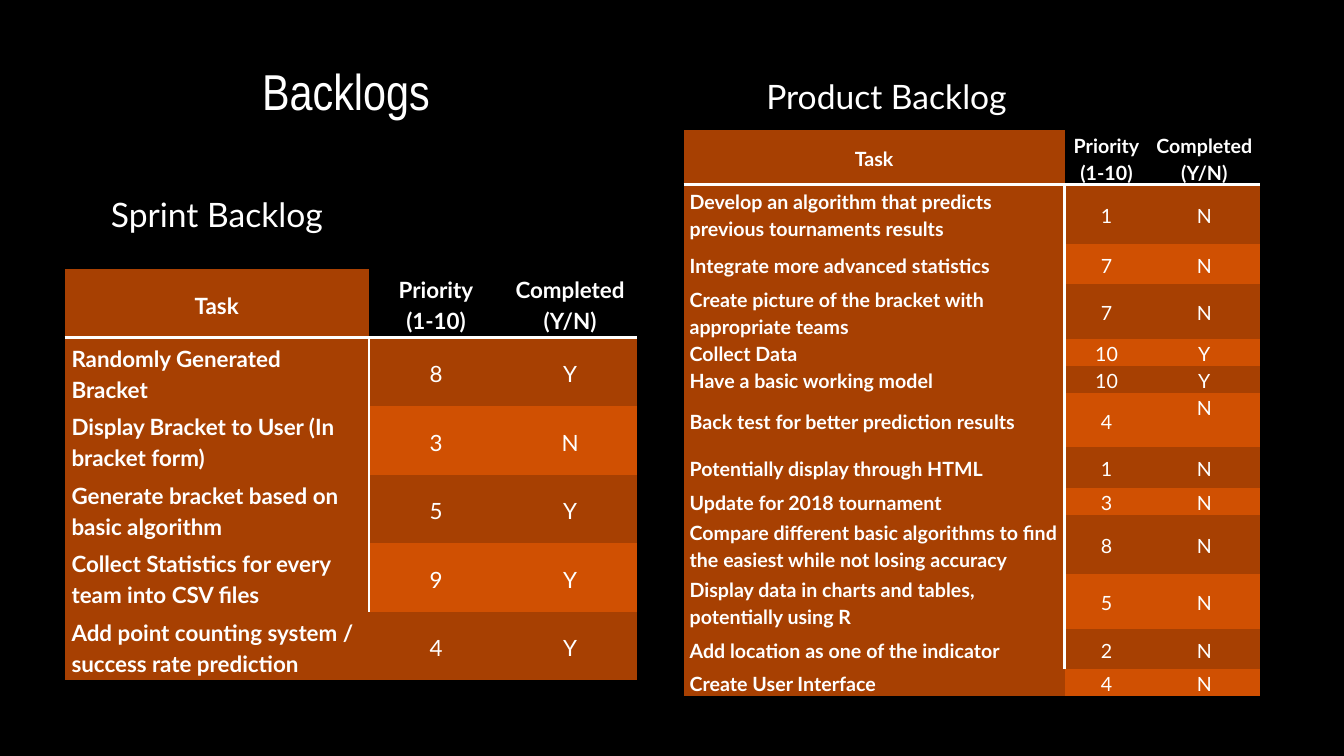
from lxml import etree
from pptx import Presentation
from pptx import util as u
from pptx.dml.color import RGBColor
from pptx.enum import text
from pptx.oxml.ns import qn

COLORS = {"black": "000000", "white": "FFFFFF", "rust": "A74002", "orange": "D05002"}
NO_STYLE_NO_GRID = "{2D5ABB26-0587-4C30-8999-92F81FD0307C}"
HEADINGS = ("Task", "Priority\n(1-10)", "Completed\n(Y/N)")

SPRINT_TASKS = [
    ("Randomly Generated Bracket", 8, "Y"),
    ("Display Bracket to User (In bracket form)", 3, "N"),
    ("Generate bracket based on basic algorithm", 5, "Y"),
    ("Collect Statistics for every team into CSV files", 9, "Y"),
    ("Add point counting system / success rate prediction", 4, "Y"),
]
PRODUCT_TASKS = [
    ("Develop an algorithm that predicts previous tournaments results", 1, "N"),
    ("Integrate more advanced statistics", 7, "N"),
    ("Create picture of the bracket with appropriate teams", 7, "N"),
    ("Collect Data", 10, "Y"),
    ("Have a basic working model", 10, "Y"),
    ("Back test for better prediction results", 4, "N"),
    ("Potentially display through HTML", 1, "N"),
    ("Update for 2018 tournament", 3, "N"),
    ("Compare different basic algorithms to find the easiest while not losing accuracy", 8, "N"),
    ("Display data in charts and tables, potentially using R", 5, "N"),
    ("Add location as one of the indicator", 2, "N"),
    ("Create User Interface", 4, "N"),
]
SPRINT_ROWS = [0.68] * 6
PRODUCT_ROWS = [0.54, 0.59, 0.4, 0.54, 0.27, 0.27, 0.54, 0.4, 0.27, 0.59, 0.54, 0.4, 0.27]


def rgb(name):
    return RGBColor.from_string(COLORS[name])


def write(frame, content, size, font="Lato", bold=False, align=text.PP_ALIGN.LEFT,
          spacing=0.9, before=0):
    """Fill a text frame, one paragraph for each line of content."""
    frame.word_wrap = True
    for index, line in enumerate(content.split("\n")):
        para = frame.add_paragraph() if index else frame.paragraphs[0]
        para.alignment = align
        para.line_spacing = spacing
        para.space_before = u.Pt(before)
        span = para.add_run()
        span.text = line
        span.font.name = font
        span.font.size = u.Pt(size)
        span.font.bold = bold
        span.font.color.rgb = rgb("white")


def place(shape, left, top, width, height):
    shape.left, shape.top = u.Inches(left), u.Inches(top)
    shape.width, shape.height = u.Inches(width), u.Inches(height)
    shape.text_frame.auto_size = text.MSO_AUTO_SIZE.NONE


def add_title(shape, box):
    place(shape, *box)
    shape.text_frame.vertical_anchor = text.MSO_ANCHOR.BOTTOM
    write(shape.text_frame, "Backlogs", 36, font="Arial Narrow")


def add_heading(shape, content, box):
    place(shape, *box)
    write(shape.text_frame, content, 24, before=18)
    properties = shape.text_frame.paragraphs[0]._p.get_or_add_pPr()
    properties.set("marL", "0")
    properties.set("indent", "0")
    etree.SubElement(properties, qn("a:buNone"))


def add_border(cell, side):
    line = etree.SubElement(cell._tc.get_or_add_tcPr(), qn("a:ln" + side), w=str(u.Pt(2)))
    fill = etree.SubElement(line, qn("a:solidFill"))
    etree.SubElement(fill, qn("a:srgbClr"), val=COLORS["white"])


def format_cell(cell, content, fill, size, inset, borders="", **style):
    cell.margin_left = cell.margin_right = u.Inches(inset)
    cell.margin_top = cell.margin_bottom = 0
    cell.vertical_anchor = text.MSO_ANCHOR.MIDDLE
    for side in borders:
        add_border(cell, side)
    cell.fill.solid()
    cell.fill.fore_color.rgb = rgb(fill)
    write(cell.text_frame, content, size, spacing=1.15, **style)


def add_backlog(page, tasks, left, top, columns, rows, size, inset):
    """Draw a backlog table with a banded score area and return it."""
    frame = page.shapes.add_table(len(rows), len(columns), u.Inches(left), u.Inches(top),
                                  u.Inches(sum(columns)), u.Inches(sum(rows)))
    table = frame.table
    table._tbl.tblPr.find(qn("a:tableStyleId")).text = NO_STYLE_NO_GRID
    for column, width in zip(table.columns, columns):
        column.width = u.Inches(width)
    for row, height in zip(table.rows, rows):
        row.height = u.Inches(height)

    center = text.PP_ALIGN.CENTER
    for index, heading in enumerate(HEADINGS):
        format_cell(table.cell(0, index), heading, "black" if index else "rust", size, inset,
                    borders="B", bold=True, align=center)
    for number, (task, *scores) in enumerate(tasks, 1):
        format_cell(table.cell(number, 0), task, "rust", size, inset,
                    borders="R" if number < len(tasks) else "", bold=True)
        band = "rust" if number % 2 else "orange"
        for index, score in enumerate(scores, 1):
            format_cell(table.cell(number, index), str(score), band, size, inset, align=center)
    return table


def build_backlogs(deck):
    page = deck.slides.add_slide(deck.slide_layouts[3])
    page.background.fill.solid()
    page.background.fill.fore_color.rgb = rgb("black")
    title, sprint, product = page.placeholders
    add_title(title, (2.5, 0, 10.83, 1.25))
    add_heading(sprint, "Sprint Backlog", (1, 1.92, 5.33, 4.75))
    add_heading(product, "Product Backlog", (7.5, 0.75, 5.33, 4.75))
    add_backlog(page, SPRINT_TASKS, 0.64, 2.67, (3.02, 1.33, 1.33), SPRINT_ROWS, 16, 0.07)
    table = add_backlog(page, PRODUCT_TASKS, 6.78, 1.29, (3.78, 0.83, 1.11), PRODUCT_ROWS,
                        14, 0.06)
    back_test_completed = table.cell(6, 2)
    back_test_completed.vertical_anchor = text.MSO_ANCHOR.TOP


def main():
    deck = Presentation()
    deck.slide_width, deck.slide_height = u.Inches(13.33), u.Inches(7.5)
    build_backlogs(deck)
    deck.save("out.pptx")


if __name__ == "__main__":
    main()
